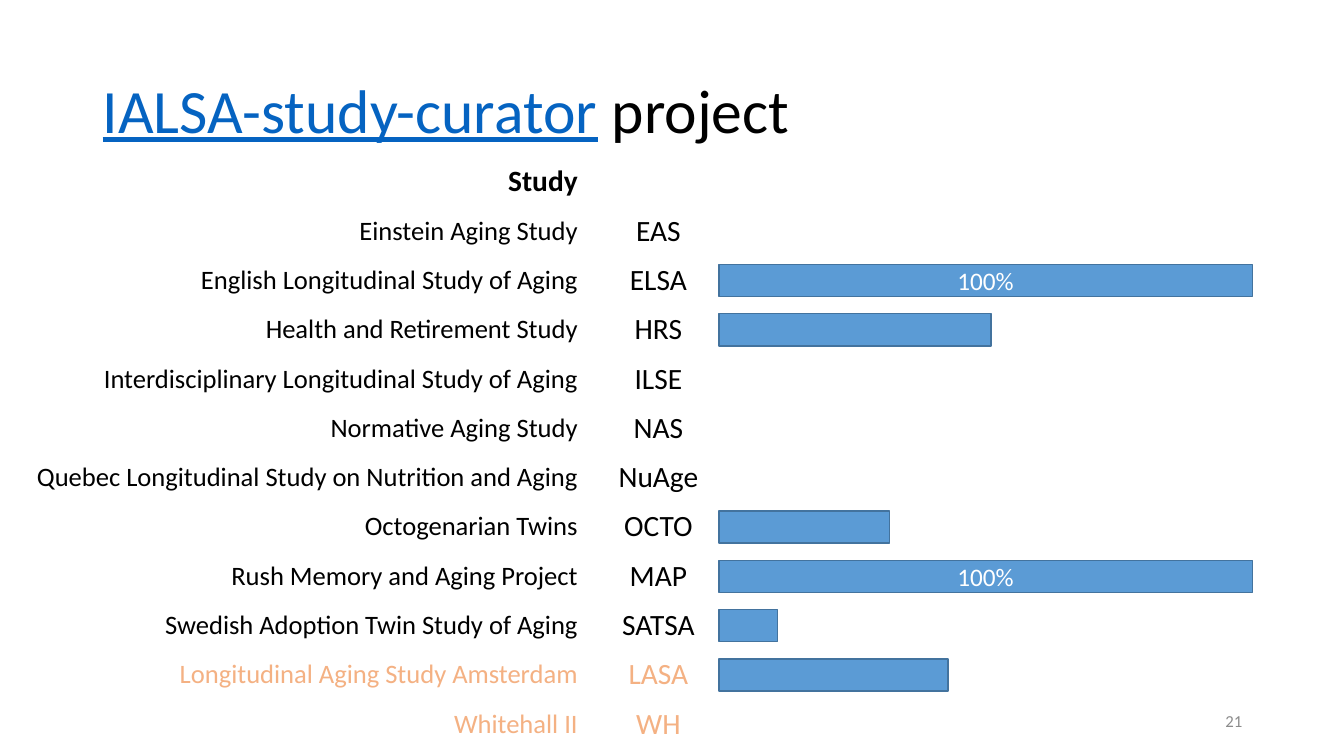
from pptx import Presentation
from pptx import util as u
from pptx.dml.color import RGBColor
from pptx.enum import shapes, text

# Content: study, short name, completed share, colour
TITLE = [("IALSA-study-curator", "link", True), (" project", "ink", False)]
PAGE_NUMBER = "21"
STUDIES = [
    ("Study", "", 0, "ink"),
    ("Einstein Aging Study", "EAS", 0, "ink"),
    ("English Longitudinal Study of Aging", "ELSA", 1, "ink"),
    ("Health and Retirement Study", "HRS", 0.51, "ink"),
    ("Interdisciplinary Longitudinal Study of Aging", "ILSE", 0, "ink"),
    ("Normative Aging Study", "NAS", 0, "ink"),
    ("Quebec Longitudinal Study on Nutrition and Aging", "NuAge", 0, "ink"),
    ("Octogenarian Twins", "OCTO", 0.32, "ink"),
    ("Rush Memory and Aging Project", "MAP", 1, "ink"),
    ("Swedish Adoption Twin Study of Aging", "SATSA", 0.11, "ink"),
    ("Longitudinal Aging Study Amsterdam", "LASA", 0.43, "planned"),
    ("Whitehall II", "WH", 0, "planned"),
]
COLORS = {"ink": "000000", "link": "0563C1", "planned": "F4B183", "bar": "5B9BD5",
          "edge": "43739E", "white": "FFFFFF", "grey": "8C8C8C"}
FONT = "Calibri"
PLAIN_TABLE = "{2D5ABB26-0587-4C30-8999-92F81FD0307C}"

# Layout in inches
TABLE_LEFT, TABLE_TOP, TABLE_HEIGHT = -0.42, 1.56, 5.87
COLUMNS = [6.28, 1.34, 2.95]
ROW = TABLE_HEIGHT / len(STUDIES)
BAR_LEFT, BAR_WIDTH, BAR_HEIGHT = 7.13, 5.29, 0.32
RIGHT, CENTER = text.PP_ALIGN.RIGHT, text.PP_ALIGN.CENTER


def color(name):
    return RGBColor.from_string(COLORS[name])


def add_span(para, words, size, name, bold=False, underline=False):
    span = para.add_run()
    span.text = words
    span.font.name, span.font.size = FONT, u.Pt(size)
    span.font.bold, span.font.underline = bold, underline
    span.font.color.rgb = color(name)


def add_box(page, left, top, width, height):
    box = page.shapes.add_textbox(*map(u.Inches, (left, top, width, height)))
    box.text_frame.word_wrap = True
    box.text_frame.vertical_anchor = text.MSO_ANCHOR.MIDDLE
    return box.text_frame.paragraphs[0]


def add_studies(page):
    frame = page.shapes.add_table(
        len(STUDIES), len(COLUMNS), u.Inches(TABLE_LEFT), u.Inches(TABLE_TOP),
        u.Inches(sum(COLUMNS)), u.Inches(TABLE_HEIGHT))
    table = frame.table
    table.horz_banding = table.first_row = False
    table._tbl.tblPr[0].text = PLAIN_TABLE
    for column, width in zip(table.columns, COLUMNS):
        column.width = u.Inches(width)
    for number, (study, short, _, name) in enumerate(STUDIES):
        table.rows[number].height = u.Inches(ROW)
        header = number == 0
        cells = [(study, 21 if header else 19, RIGHT), (short, 21, CENTER), ("", 18, CENTER)]
        for cell, (words, size, align) in zip(table.rows[number].cells, cells):
            cell.fill.background()
            cell.vertical_anchor = text.MSO_ANCHOR.MIDDLE
            cell.margin_left = cell.margin_right = u.Inches(0.13)
            cell.margin_top = cell.margin_bottom = u.Inches(0.06)
            para = cell.text_frame.paragraphs[0]
            para.alignment = align
            if words:
                add_span(para, words, size, name, bold=header)


def add_bar(page, number, share):
    top = TABLE_TOP + number * ROW + (ROW - BAR_HEIGHT) / 2
    bar = page.shapes.add_shape(
        shapes.MSO_SHAPE.RECTANGLE, u.Inches(BAR_LEFT), u.Inches(top),
        u.Inches(BAR_WIDTH * share), u.Inches(BAR_HEIGHT))
    bar.shadow.inherit = False
    bar.fill.solid()
    bar.fill.fore_color.rgb = color("bar")
    bar.line.color.rgb = color("edge")
    bar.line.width = u.Pt(1)
    if share == 1:
        bar.text_frame.vertical_anchor = text.MSO_ANCHOR.MIDDLE
        para = bar.text_frame.paragraphs[0]
        para.alignment = CENTER
        add_span(para, f"{share:.0%}", 18, "white")


def main():
    deck = Presentation()
    deck.slide_width, deck.slide_height = u.Inches(13.33), u.Inches(7.5)
    page = deck.slides.add_slide(deck.slide_layouts[6])

    # Study table and page number
    add_studies(page)
    para = add_box(page, 9.42, 6.95, 3, 0.4)
    para.alignment = RIGHT
    add_span(para, PAGE_NUMBER, 12, "grey")

    # Progress bars, centred on their table rows
    for number, (_, _, share, _) in enumerate(STUDIES):
        if share:
            add_bar(page, number, share)

    # Title
    para = add_box(page, 0.92, 0.4, 11.5, 1.45)
    para.line_spacing = 0.9
    for words, name, underline in TITLE:
        add_span(para, words, 44, name, underline=underline)

    deck.save("out.pptx")


if __name__ == "__main__":
    main()
